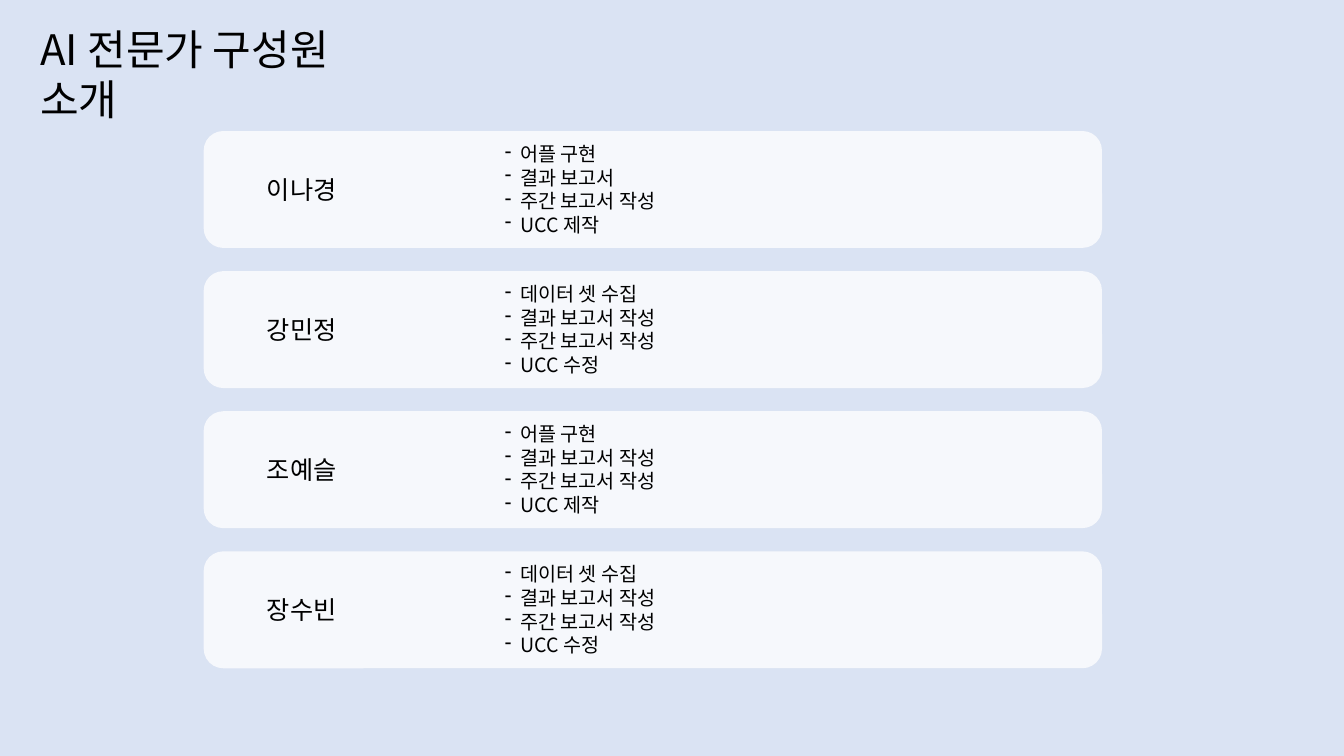
from lxml import etree
from pptx import Presentation, util as u
from pptx.dml.color import RGBColor
from pptx.enum import shapes, text
from pptx.oxml.ns import qn

COLORS = {"background": "DAE3F3", "card": "FFFFFF", "ink": "000000"}
FONT = "Noto Sans CJK KR"
CARD_OPACITY = 78000
ROW_PITCH = 1.39
DUTY_MARGIN, DUTY_HANG = 0.76, 0.15

MEMBERS = [
    ("이나경", ["어플 구현", "결과 보고서", "주간 보고서 작성", "UCC 제작"]),
    ("강민정", ["데이터 셋 수집", "결과 보고서 작성", "주간 보고서 작성", "UCC 수정"]),
    ("조예슬", ["어플 구현", "결과 보고서 작성", "주간 보고서 작성", "UCC 제작"]),
    ("장수빈", ["데이터 셋 수집", "결과 보고서 작성", "주간 보고서 작성", "UCC 수정"]),
]


def place(shape, box):
    """Move a shape to a box given in inches."""
    for side, value in zip(("left", "top", "width", "height"), box):
        setattr(shape, side, u.Inches(value))


def add_dash(para):
    """Give a paragraph a hanging dash bullet."""
    props = para._p.get_or_add_pPr()
    props.set("marL", str(u.Inches(DUTY_MARGIN)))
    props.set("indent", str(-u.Inches(DUTY_HANG)))
    etree.SubElement(props, qn("a:buChar")).set("char", "-")


def write(shape, lines, size, dashed=False):
    """Fill a shape with left-aligned lines of one size."""
    frame = shape.text_frame
    frame.text = "\n".join(lines)
    frame_format = {
        "word_wrap": True,
        "auto_size": text.MSO_AUTO_SIZE.NONE,
        "vertical_anchor": text.MSO_ANCHOR.TOP,
    }
    for name, value in frame_format.items():
        setattr(frame, name, value)
    for para in frame.paragraphs:
        para.alignment = text.PP_ALIGN.LEFT
        para.space_before = u.Pt(0)
        para.line_spacing = u.Pt(size * 1.2)
        if dashed:
            add_dash(para)
        for span in para.runs:
            for name, value in {"name": FONT, "size": u.Pt(size), "bold": False}.items():
                setattr(span.font, name, value)
            span.font.color.rgb = RGBColor.from_string(COLORS["ink"])
            east_asian = etree.SubElement(span._r.get_or_add_rPr(), qn("a:ea"))
            east_asian.set("typeface", FONT)


def add_title(page, box):
    """Place the slide title in its box."""
    place(page.shapes.title, box)
    write(page.shapes.title, ["AI 전문가 구성원 소개"], 30)


def add_member(page, box, member, duties):
    """Draw one member's card with the name and duties inside the box."""
    left, top, width, height = box
    card = page.shapes.add_shape(shapes.MSO_SHAPE.ROUNDED_RECTANGLE, 0, 0, 0, 0)
    place(card, box)
    card.shadow.inherit = False
    card.fill.solid()
    card.fill.fore_color.rgb = RGBColor.from_string(COLORS["card"])
    card.line.fill.background()
    color = card.fill._xPr.find(".//" + qn("a:srgbClr"))
    etree.SubElement(color, qn("a:alpha")).set("val", str(CARD_OPACITY))

    duty_box = page.shapes.add_textbox(0, 0, 0, 0)
    place(duty_box, (left + 2.28, top + 0.06, 2.6, height - 0.12))
    write(duty_box, duties, 14, dashed=True)

    name_box = page.shapes.add_textbox(0, 0, 0, 0)
    place(name_box, (left + 0.53, top + (height - 0.4) / 2, width * 0.75, 0.4))
    write(name_box, [member], 18)


def main():
    """Build and save the team slide."""
    deck = Presentation()
    deck.slide_width, deck.slide_height = u.Inches(13.33), u.Inches(7.5)
    page = deck.slides.add_slide(deck.slide_layouts[5])
    page.background.fill.solid()
    page.background.fill.fore_color.rgb = RGBColor.from_string(COLORS["background"])
    add_title(page, (0.3, 0.18, 3.5, 1.11))
    for row, (member, duties) in enumerate(MEMBERS):
        add_member(page, (2.02, 1.3 + row * ROW_PITCH, 8.91, 1.16), member, duties)
    deck.save("out.pptx")


if __name__ == "__main__":
    main()
